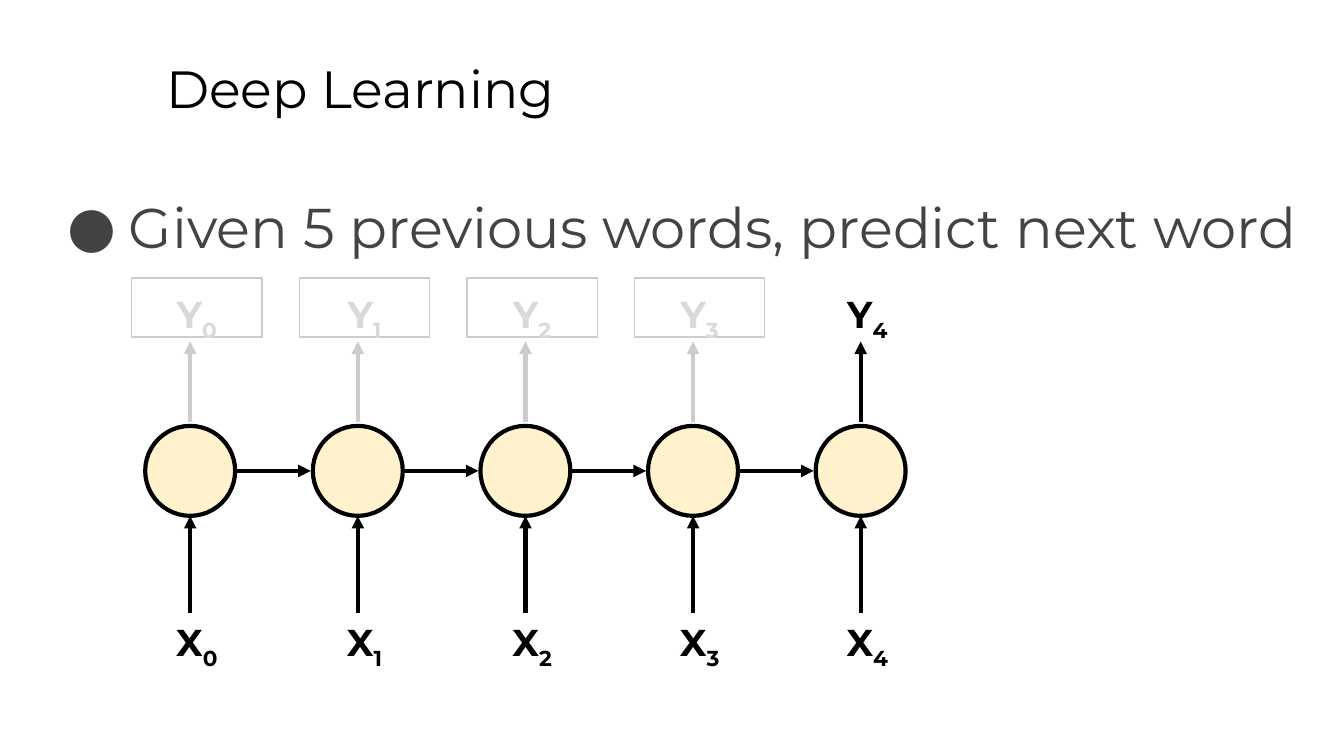
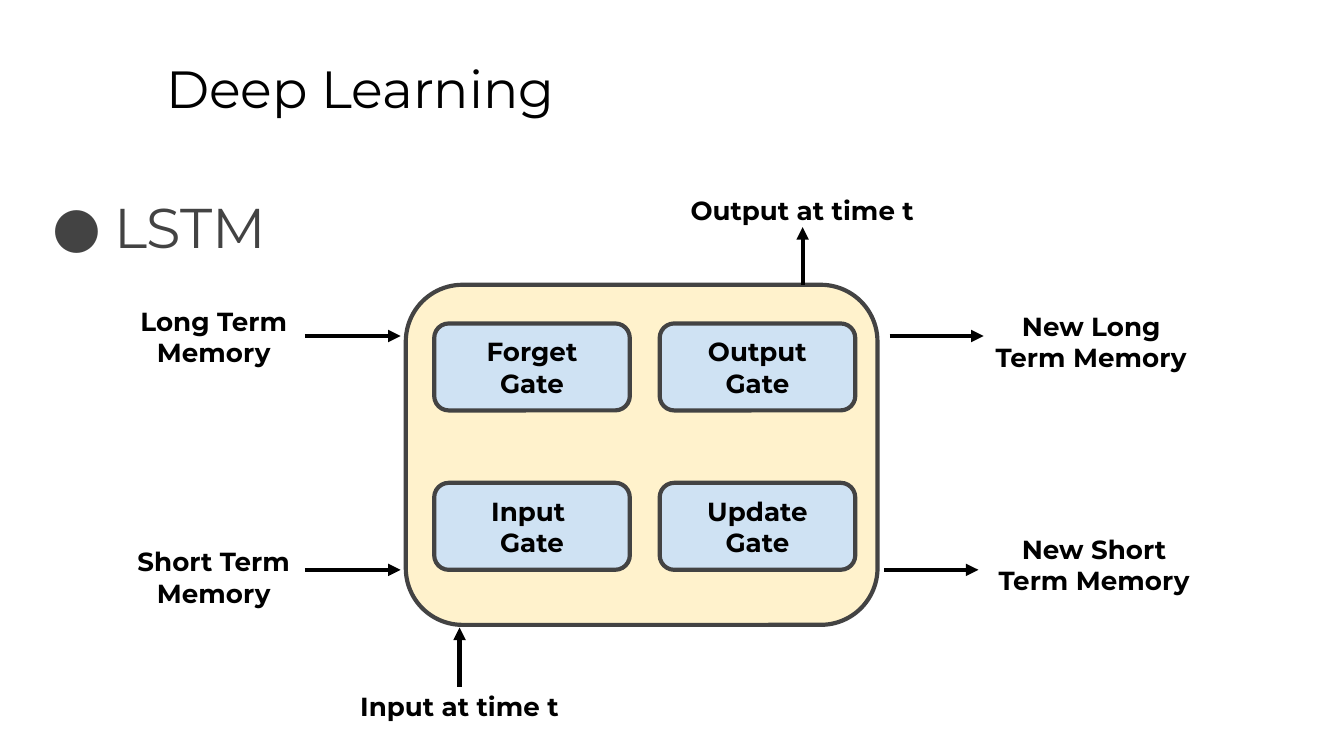
from dataclasses import dataclass
from typing import Optional

from lxml.etree import SubElement
from pptx import Presentation
from pptx.dml.color import RGBColor
from pptx.enum.shapes import MSO_CONNECTOR as CONN, MSO_SHAPE as SHAPE
from pptx.enum.text import MSO_ANCHOR as ANCHOR, PP_ALIGN as ALIGN
from pptx.oxml.ns import qn
from pptx.util import Pt

# Shared look
FONT = "Montserrat"
BLACK, DARK = "000000", "434343"
GREY, PALE_GREY = "CCCCCC", "D9D9D9"
CREAM, BLUE = "FFF2CC", "CFE2F3"
HEAVY, THIN = 2.25, 0.75
INSET = 7.2


@dataclass(frozen=True)
class Box:
    x: float
    y: float
    w: float
    h: float


@dataclass(frozen=True)
class TextStyle:
    size: float
    color: str = BLACK
    bold: bool = True
    align: ALIGN = ALIGN.CENTER
    anchor: ANCHOR = ANCHOR.TOP


@dataclass(frozen=True)
class Label:
    text: str
    box: Box


@dataclass(frozen=True)
class Arrow:
    x1: float
    y1: float
    x2: float
    y2: float
    color: str = BLACK


TITLE = TextStyle(28, bold=False, align=ALIGN.LEFT)
BULLET = TextStyle(30, DARK, bold=False, align=ALIGN.LEFT)
NODE = TextStyle(20)
FADED_NODE = TextStyle(20, PALE_GREY)
LABEL = TextStyle(14)
GATE = TextStyle(14, anchor=ANCHOR.MIDDLE)


def rgb(color: str) -> RGBColor:
    return RGBColor.from_string(color)


def write(sp, text: str, style: TextStyle) -> None:
    """Fill a shape with styled text, one paragraph per line."""
    tf = sp.text_frame
    tf.text = text
    tf.word_wrap = True
    tf.vertical_anchor = style.anchor
    tf.margin_left = tf.margin_right = Pt(INSET)
    tf.margin_top = tf.margin_bottom = Pt(INSET)
    for p in tf.paragraphs:
        p.alignment = style.align
        for r in p.runs:
            style_run(r, style)


def style_run(r, style: TextStyle) -> None:
    r.font.name = FONT
    r.font.size = Pt(style.size)
    r.font.bold = style.bold
    r.font.color.rgb = rgb(style.color)


def add_text(s, text: str, box: Box, style: TextStyle):
    sp = s.shapes.add_textbox(Pt(box.x), Pt(box.y), Pt(box.w), Pt(box.h))
    write(sp, text, style)
    return sp


def add_shape(s, kind: SHAPE, box: Box, fill: Optional[str], line: str,
              width: float = HEAVY):
    sp = s.shapes.add_shape(kind, Pt(box.x), Pt(box.y), Pt(box.w), Pt(box.h))
    sp.shadow.inherit = False
    if fill:
        sp.fill.solid()
        sp.fill.fore_color.rgb = rgb(fill)
    else:
        sp.fill.background()
    sp.line.color.rgb = rgb(line)
    sp.line.width = Pt(width)
    return sp


def add_arrow(s, a: Arrow) -> None:
    c = s.shapes.add_connector(CONN.STRAIGHT, Pt(a.x1), Pt(a.y1), Pt(a.x2), Pt(a.y2))
    c.line.color.rgb = rgb(a.color)
    c.line.width = Pt(HEAVY)
    spPr = c.element.spPr
    SubElement(spPr.find(qn("a:ln")), qn("a:tailEnd"), type="triangle")
    SubElement(spPr, qn("a:effectLst"))


def add_subscript(sp, text: str, style: TextStyle) -> None:
    r = sp.text_frame.paragraphs[0].add_run()
    r.text = text
    style_run(r, style)
    r._r.get_or_add_rPr().set("baseline", "-25000")


def add_bullet(s, text: str, box: Box) -> None:
    p = add_text(s, text, box, BULLET).text_frame.paragraphs[0]
    p.line_spacing = 1.15
    pPr = p._p.get_or_add_pPr()
    pPr.set("marL", str(Pt(36)))
    pPr.set("indent", str(Pt(-33)))
    clr = SubElement(pPr, qn("a:buClr"))
    SubElement(clr, qn("a:srgbClr"), val=DARK)
    SubElement(pPr, qn("a:buFont"), typeface=FONT)
    SubElement(pPr, qn("a:buChar"), char="●")


def new_slide(prs, bullet: str, bullet_box: Box):
    """Blank slide with the common title and one bullet."""
    s = prs.slides.add_slide(prs.slide_layouts[6])
    add_text(s, "Deep Learning", Box(82, 23, 613.5, 45.4), TITLE)
    add_bullet(s, bullet, bullet_box)
    return s


def build_rnn(prs) -> None:
    s = new_slide(prs, "Given 5 previous words, predict next word",
                  Box(26, 90.7, 694, 55.4))
    steps, pitch, d = 5, 89.8, 48.2
    left, top = 77.8, 228.2
    for i in range(steps):
        x = left + i * pitch
        mid = x + d / 2
        last = i == steps - 1

        # Cell with its output and input arrows
        add_shape(s, SHAPE.OVAL, Box(x, top, d, d), CREAM, BLACK)
        add_arrow(s, Arrow(mid, 226, mid, 183, BLACK if last else GREY))
        add_arrow(s, Arrow(mid, 328.3, mid, top + d))

        # Output label, faded and framed before the last step
        box = Box(x - 7.2, 149, 69.8, 31.7)
        style = NODE if last else FADED_NODE
        if last:
            y = add_text(s, "Y", box, style)
        else:
            y = add_shape(s, SHAPE.RECTANGLE, box, None, GREY, THIN)
            write(y, "Y", style)
        add_subscript(y, str(i), style)

        # Input label
        add_subscript(add_text(s, "X", Box(box.x, 324.7, box.w, box.h), NODE),
                      str(i), NODE)

        # Link to the next cell
        if not last:
            cy = top + d / 2
            add_arrow(s, Arrow(x + d, cy, x + d + 40.5, cy))


def build_lstm(prs) -> None:
    s = new_slide(prs, "LSTM", Box(18, 90.7, 702, 67.7))

    # Cell body
    add_shape(s, SHAPE.ROUNDED_RECTANGLE, Box(217.4, 152.6, 252.7, 182.2), CREAM, DARK)

    # Flows in and out
    long_y, short_y = 180, 305.3
    arrows = [
        Arrow(163.4, long_y, 214.6, long_y),
        Arrow(163.4, short_y, 214.6, short_y),
        Arrow(476.6, long_y, 527, long_y),
        Arrow(473.8, short_y, 524.2, short_y),
        Arrow(246.2, 368, 246.2, 336.2),
        Arrow(430, 152.6, 430, 121.7),
    ]
    for a in arrows:
        add_arrow(s, a)

    w, h = 123.8, 26.6
    labels = [
        Label("Long Term Memory", Box(52.6, 156.2, w, h)),
        Label("New Long Term Memory", Box(522.7, 159.1, w, h)),
        Label("Short Term Memory", Box(52.6, 285.1, w, h)),
        Label("New Short Term Memory", Box(524.2, 278.6, w, h)),
        Label("Input at time t", Box(184.3, 362.9, w, h)),
        Label("Output at time t", Box(356.4, 97.2, 146.9, h)),
    ]
    for label in labels:
        add_text(s, label.text, label.box, LABEL)

    # Gates, two by two
    gates = [["Forget Gate", "Output Gate"], ["Input \nGate", "Update Gate"]]
    for row, names in enumerate(gates):
        for col, name in enumerate(names):
            box = Box(232.6 + col * 120.8, 173.3 + row * 85.4, 104.8, 46.6)
            write(add_shape(s, SHAPE.ROUNDED_RECTANGLE, box, BLUE, DARK), name, GATE)


def main() -> None:
    prs = Presentation()
    prs.slide_width, prs.slide_height = Pt(720), Pt(405)
    build_rnn(prs)
    build_lstm(prs)
    prs.save("out.pptx")


if __name__ == "__main__":
    main()
